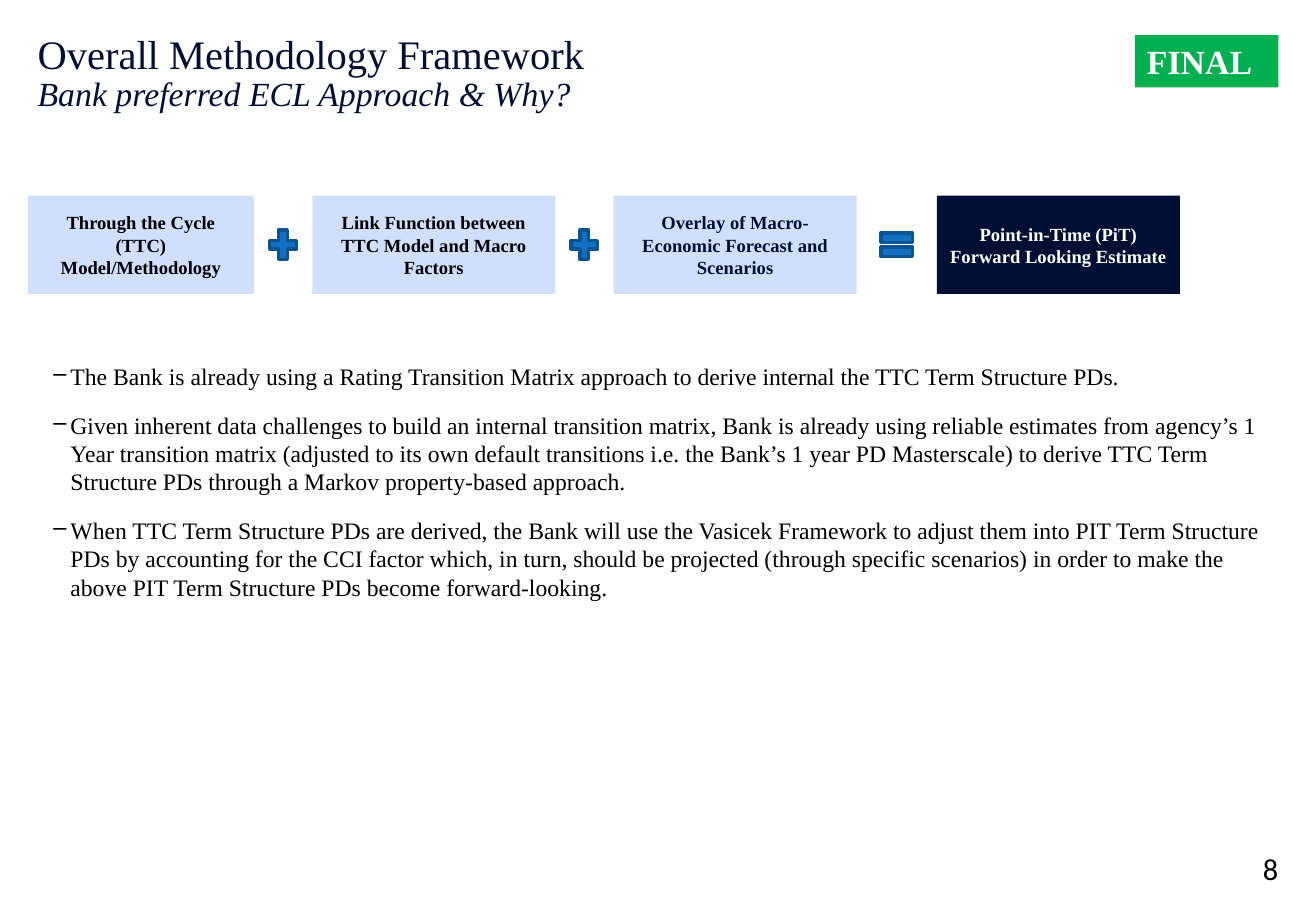
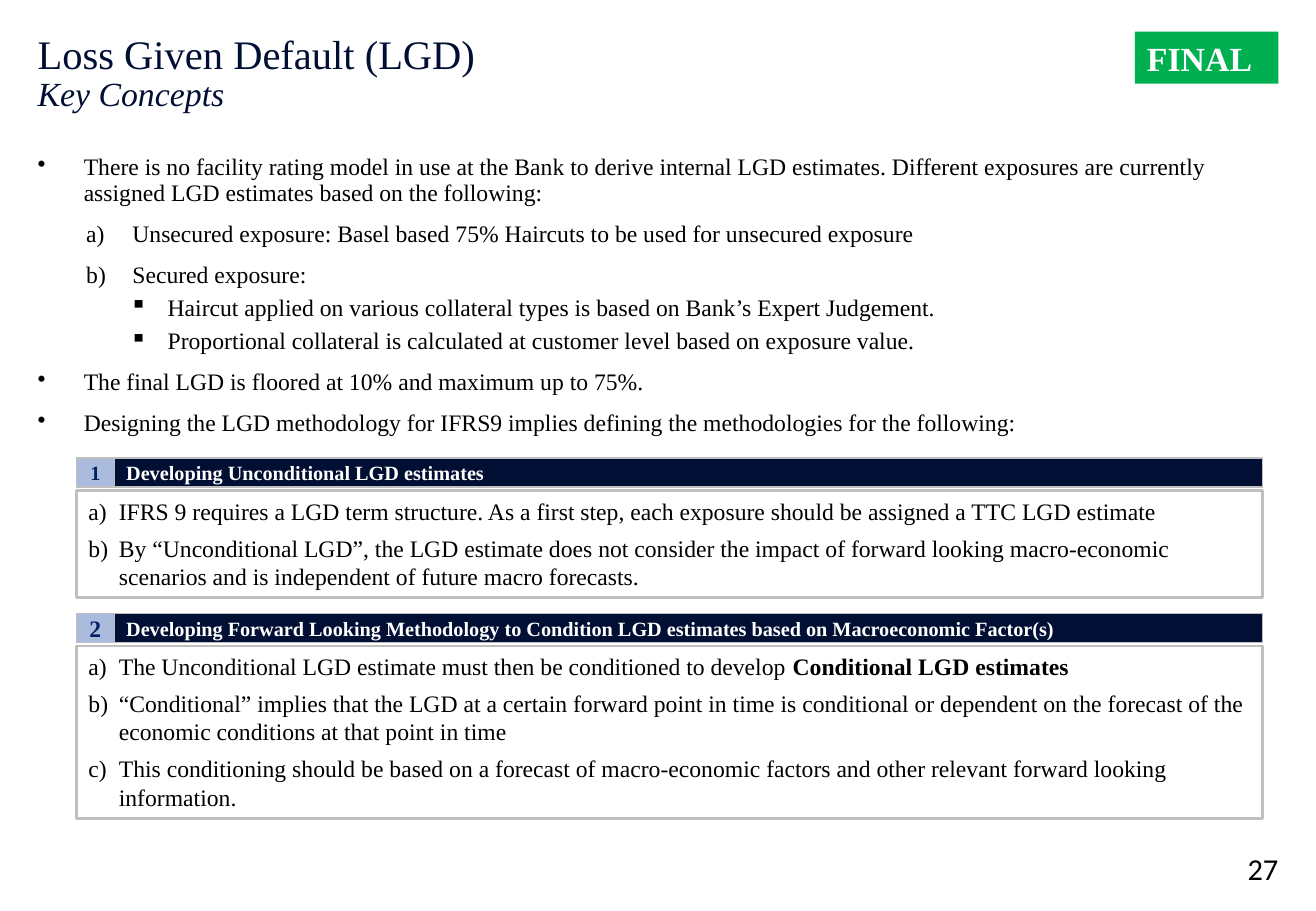
from lxml import etree
from pptx import Presentation
from pptx.dml.color import RGBColor
from pptx.enum.shapes import MSO_SHAPE
from pptx.enum.text import MSO_ANCHOR, PP_ALIGN
from pptx.oxml.ns import qn
from pptx.util import Inches, Pt

NAVY = RGBColor(0x00, 0x0F, 0x33)
PALE_BLUE = RGBColor(0xD1, 0xDF, 0xFF)
SIGN_BLUE = RGBColor(0x11, 0x6F, 0xC4)
SIGN_EDGE = RGBColor(0x0D, 0x52, 0x91)
NUMBER_FILL = RGBColor(0xAA, 0xBB, 0xDE)
NUMBER_TEXT = RGBColor(0x00, 0x20, 0x60)
GREY = RGBColor(0xBF, 0xBF, 0xBF)
GREEN = RGBColor(0x00, 0xB0, 0x50)
BLACK = RGBColor(0x00, 0x00, 0x00)
WHITE = RGBColor(0xFF, 0xFF, 0xFF)

SERIF = "Times New Roman"
MARGIN = 0.31
CONTENT_WIDTH = 10.2
LETTERS = "letters"  # a), b), c) numbering instead of a bullet character

# Paragraph levels: (bullet, text indent, hanging indent, space before in points)
DASH = ("–", 0.26, 0.14, 6)
POINT = ("•", 0.38, 0.38, 9.1)
LETTERED = (LETTERS, 0.78, 0.38, 9.1)
SQUARE = ("▪", 1.07, 0.31, 4.6)
BOX_ITEM = (LETTERS, 0.25, 0.25, 2)


def style(span, size, color, bold=False, italic=False, font=SERIF):
    span.font.name = font
    span.font.size = Pt(size)
    span.font.color.rgb = color
    span.font.bold = bold
    span.font.italic = italic


def add_text_box(page, left, top, width, height):
    box = page.shapes.add_textbox(Inches(left), Inches(top), Inches(width), Inches(height))
    frame = box.text_frame
    frame.word_wrap = True
    frame.margin_left = frame.margin_right = frame.margin_top = frame.margin_bottom = 0
    return frame


def add_block(page, kind, left, top, width, height, fill=None, edge=None, edge_width=0.75):
    block = page.shapes.add_shape(kind, Inches(left), Inches(top), Inches(width), Inches(height))
    block.shadow.inherit = False
    if fill is None:
        block.fill.background()
    else:
        block.fill.solid()
        block.fill.fore_color.rgb = fill
    if edge is None:
        block.line.fill.background()
    else:
        block.line.color.rgb = edge
        block.line.width = Pt(edge_width)
    return block


def label(block, text, size, color, align=PP_ALIGN.CENTER):
    frame = block.text_frame
    frame.word_wrap = True
    frame.vertical_anchor = MSO_ANCHOR.MIDDLE
    para = frame.paragraphs[0]
    para.text = text
    para.alignment = align
    style(para.runs[0], size, color, bold=True)


def set_bullet(para, bullet, indent, hanging):
    properties = para._p.get_or_add_pPr()
    properties.set("marL", str(Inches(indent)))
    properties.set("indent", str(-Inches(hanging)))
    if bullet == LETTERS:
        etree.SubElement(properties, qn("a:buAutoNum"), type="alphaLcParenR")
    else:
        etree.SubElement(properties, qn("a:buChar"), char=bullet)


def fill_list(frame, items, space_after=0, line_spacing=1.0):
    """Write items of (level, text, optional bold ending) into the frame."""
    for index, (level, *texts) in enumerate(items):
        para = frame.add_paragraph() if index else frame.paragraphs[0]
        bullet, indent, hanging, space_before = level
        set_bullet(para, bullet, indent, hanging)
        para.alignment = PP_ALIGN.LEFT
        para.line_spacing = line_spacing
        para.space_before = Pt(space_before if index else 0)
        para.space_after = Pt(space_after)
        for position, text in enumerate(texts):
            span = para.add_run()
            span.text = text
            style(span, 14, BLACK, bold=position > 0)


def add_page(deck, title, subtitle, number, badge_top):
    page = deck.slides.add_slide(deck.slide_layouts[6])
    heading = add_text_box(page, MARGIN, 0.28, CONTENT_WIDTH, 1.01).paragraphs[0]
    heading.text = f"{title}\v{subtitle}"
    heading.line_spacing = 0.9
    style(heading.runs[0], 24, NAVY)
    style(heading.runs[1], 20, NAVY, italic=True)

    footer = add_text_box(page, 10.04, 6.99, 0.48, 0.31)
    footer.vertical_anchor = MSO_ANCHOR.BOTTOM
    para = footer.paragraphs[0]
    para.text = number
    para.alignment = PP_ALIGN.RIGHT
    style(para.runs[0], 18, BLACK, font="Calibri")

    badge = add_block(page, MSO_SHAPE.RECTANGLE, 9.34, badge_top, 1.18, 0.43, GREEN)
    label(badge, "FINAL", 20, WHITE, PP_ALIGN.LEFT)
    return page


def add_formula(page):
    """Place the terms left to right, each sign centred in the gap after its term."""
    plus, equal = (MSO_SHAPE.MATH_PLUS, 0.3), (MSO_SHAPE.MATH_EQUAL, 0.35)
    terms = [
        ("Through the Cycle (TTC) Model/Methodology", 1.86, PALE_BLUE, BLACK, 0.48, plus),
        ("Link Function between TTC Model and Macro Factors", 2, PALE_BLUE, BLACK, 0.48, plus),
        ("Overlay of Macro-Economic Forecast and Scenarios", 2, PALE_BLUE, NAVY, 0.66, equal),
        ("Point-in-Time (PiT) Forward Looking Estimate", 2, NAVY, WHITE, 0, None),
    ]
    left = 0.23
    for text, width, fill, color, gap, sign in terms:
        term = add_block(page, MSO_SHAPE.RECTANGLE, left, 1.61, width, 0.81, fill)
        label(term, text, 11, color)
        left += width
        if sign:
            kind, sign_width = sign
            add_block(page, kind, left + (gap - sign_width) / 2, 1.85, sign_width, 0.33,
                      SIGN_BLUE, SIGN_EDGE, 2)
        left += gap


def add_step(page, top, number, number_size, title, body_height, items):
    left, number_width, width, bar_height = 0.63, 0.31, 9.76, 0.24
    body = add_block(page, MSO_SHAPE.RECTANGLE, left, top + 0.27, width, body_height,
                     edge=GREY, edge_width=1.5)
    body.text_frame.word_wrap = True
    body.text_frame.vertical_anchor = MSO_ANCHOR.TOP
    fill_list(body.text_frame, [(BOX_ITEM, *item) for item in items], space_after=3)

    tag = add_block(page, MSO_SHAPE.RECTANGLE, left, top, number_width, bar_height,
                    NUMBER_FILL, GREY)
    label(tag, number, number_size, NUMBER_TEXT)
    bar = add_block(page, MSO_SHAPE.RECTANGLE, left + number_width, top,
                    width - number_width, bar_height, NAVY, GREY)
    label(bar, title, 12, WHITE, PP_ALIGN.LEFT)


def build_framework(deck):
    page = add_page(deck, "Overall Methodology Framework",
                    "Bank preferred ECL Approach & Why?", "8", 0.29)
    add_formula(page)
    fill_list(add_text_box(page, MARGIN + 0.01, 2.98, CONTENT_WIDTH, 3.23), [
        (DASH, "The Bank is already using a Rating Transition Matrix approach to derive internal "
               "the TTC Term Structure PDs."),
        (DASH, "Given inherent data challenges to build an internal transition matrix, Bank is "
               "already using reliable estimates from agency’s 1 Year transition matrix (adjusted "
               "to its own default transitions i.e. the Bank’s 1 year PD Masterscale) to derive "
               "TTC Term Structure PDs through a Markov property-based approach."),
        (DASH, "When TTC Term Structure PDs are derived, the Bank will use the Vasicek Framework "
               "to adjust them into PIT Term Structure PDs by accounting for the CCI factor "
               "which, in turn, should be projected (through specific scenarios) in order to "
               "make the above PIT Term Structure PDs become forward-looking."),
    ], space_after=6)


def build_loss_given_default(deck):
    page = add_page(deck, "Loss Given Default (LGD)", "Key Concepts", "27", 0.26)
    fill_list(add_text_box(page, MARGIN, 1.28, CONTENT_WIDTH, 2.4), [
        (POINT, "There is no facility rating model in use at the Bank to derive internal LGD "
                "estimates. Different exposures are currently assigned LGD estimates based on "
                "the following:"),
        (LETTERED, "Unsecured exposure: Basel based 75% Haircuts to be used for unsecured "
                   "exposure"),
        (LETTERED, "Secured exposure:"),
        (SQUARE, "Haircut applied on various collateral types is based on Bank’s Expert "
                 "Judgement."),
        (SQUARE, "Proportional collateral is calculated at customer level based on exposure "
                 "value."),
        (POINT, "The final LGD is floored at 10% and maximum up to 75%."),
        (POINT, "Designing the LGD methodology for IFRS9 implies defining the methodologies for "
                "the following:"),
    ], line_spacing=0.9)

    add_step(page, 3.77, "1", 12, "Developing Unconditional LGD estimates", 0.88, [
        ("IFRS 9 requires a LGD term structure. As a first step, each exposure should be "
         "assigned a TTC LGD estimate",),
        ("By “Unconditional LGD”, the LGD estimate does not consider the impact of forward "
         "looking macro-economic scenarios and is independent of future macro forecasts.",),
    ])
    add_step(page, 5.05, "2", 14, "Developing Forward Looking Methodology to Condition LGD "
             "estimates based on Macroeconomic Factor(s)", 1.42, [
        ("The Unconditional LGD estimate must then be conditioned to develop ",
         "Conditional LGD estimates"),
        ("“Conditional” implies that the LGD at a certain forward point in time is conditional "
         "or dependent on the forecast of the economic conditions at that point in time",),
        ("This conditioning should be based on a forecast of macro-economic factors and other "
         "relevant forward looking information.",),
    ])


def main():
    deck = Presentation()
    deck.slide_width = Inches(10.83)
    deck.slide_height = Inches(7.5)
    build_framework(deck)
    build_loss_given_default(deck)
    deck.save("out.pptx")


if __name__ == "__main__":
    main()
